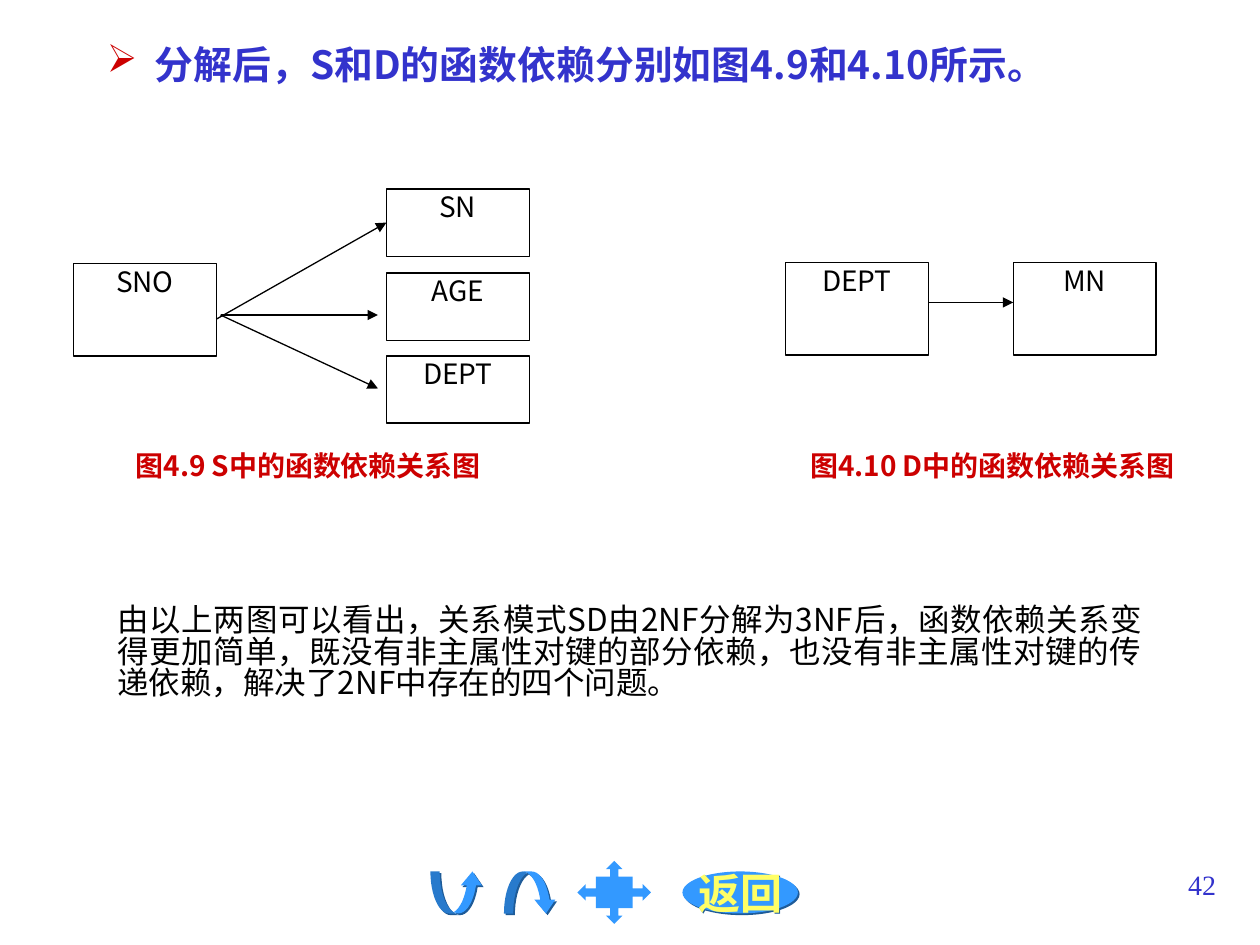
from lxml import etree
from pptx import Presentation
from pptx.dml.color import RGBColor
from pptx.enum.shapes import MSO_CONNECTOR, MSO_SHAPE
from pptx.enum.text import MSO_ANCHOR, PP_ALIGN
from pptx.oxml.ns import qn
from pptx.util import Inches, Pt

RECT, OVAL = MSO_SHAPE.RECTANGLE, MSO_SHAPE.OVAL
UP, DOWN = MSO_SHAPE.CURVED_UP_ARROW, MSO_SHAPE.CURVED_DOWN_ARROW
QUAD = MSO_SHAPE.QUAD_ARROW_CALLOUT
STRAIGHT = MSO_CONNECTOR.STRAIGHT
LEFT_SIDE = 1
CENTER, RIGHT, JUSTIFY = PP_ALIGN.CENTER, PP_ALIGN.RIGHT, PP_ALIGN.JUSTIFY
MIDDLE = MSO_ANCHOR.MIDDLE

HEX = {"ink": "000000", "paper": "FFFFFF", "red": "CC0000", "blue": "3333CC",
       "sky": "3399FF", "shade": "1E5B98", "lemon": "FFFF66"}
SANS, SERIF = "Noto Sans CJK SC", "Times New Roman"
TIGHT = 0.83  # line spacing of the running text


def grid(*cells):
    """Turn columns and rows of a 120 x 90 grid into lengths."""
    return [Inches(c / 12) for c in cells]


def color(name):
    return RGBColor.from_string(HEX[name])


def child(node, tag, **attrs):
    return etree.SubElement(node, qn(tag), **attrs)


def write(shape, text, size, hue, align, bold=False, font=SANS, space=TIGHT):
    par = shape.text_frame.paragraphs[0]
    par.alignment = align
    par.line_spacing = space
    run = par.add_run()
    run.text = text
    run.font.size, run.font.bold, run.font.name = Pt(size), bold, font
    run.font.color.rgb = color(hue)
    child(run.font._element, "a:ea", typeface=SANS)
    return par


def add_text(slide, cells, *args, **style):
    box = slide.shapes.add_textbox(*grid(*cells))
    box.text_frame.word_wrap = True
    return write(box, *args, **style)


def add_form(slide, kind, cells, fill, line=None):
    form = slide.shapes.add_shape(kind, *grid(*cells))
    form.shadow.inherit = False
    form.fill.solid()
    form.fill.fore_color.rgb = color(fill)
    if line:
        form.line.color.rgb = color(line)
        form.line.width = Pt(0.75)
    else:
        form.line.fill.background()
    return form


def add_node(slide, text, *cells):
    node = add_form(slide, RECT, cells, "paper", "ink")
    node.text_frame.vertical_anchor = MSO_ANCHOR.TOP
    write(node, text, 16, "ink", CENTER)
    return node


def add_label(slide, text, *cells):
    label = add_form(slide, RECT, cells, "paper")
    label.text_frame.vertical_anchor = MSO_ANCHOR.TOP
    write(label, text, 16, "red", CENTER, bold=True)


def add_arrow(slide, *ends):
    arrow = slide.shapes.add_connector(STRAIGHT, *grid(*ends))
    arrow.line.color.rgb = color("ink")
    arrow.line.width = Pt(0.75)
    child(arrow.line._get_or_add_ln(), "a:tailEnd", type="triangle")
    child(arrow._element.spPr, "a:effectLst")
    return arrow


def add_icon(slide, kind, cells, tune=(), shade=True):
    icon = add_form(slide, kind, cells, "sky")
    for i, share in enumerate(tune):
        icon.adjustments[i] = share
    if shade:
        glow = icon._element.spPr.find(qn("a:effectLst"))
        drop = child(glow, "a:outerShdw", dist=str(Pt(1.4)), dir="2700000",
                     algn="ctr", rotWithShape="0")
        child(drop, "a:srgbClr", val=HEX["shade"])
    return icon


def add_title(slide):
    par = add_text(slide, (9, 4, 102, 7),
                   "分解后，S和D的函数依赖分别如图4.9和4.10所示。",
                   22.2, "blue", JUSTIFY, bold=True)
    props = par._p.get_or_add_pPr()
    props.set("marL", str(Inches(0.38)))
    props.set("indent", str(Inches(-0.38)))
    child(child(props, "a:buClr"), "a:srgbClr", val=HEX["red"])
    child(props, "a:buChar", char="➢")


def add_graphs(slide):
    # Dependencies in S
    add_node(slide, "SNO", 7, 25.1, 13.6, 8.8)
    leaves = [add_node(slide, name, 36.8, row, 13.6, 6.4)
              for name, row in (("SN", 18), ("AGE", 26), ("DEPT", 33.9))]
    add_arrow(slide, 20.6, 30.4, 36.8, 21.2).end_connect(leaves[0], LEFT_SIDE)
    for row in (30, 37):
        add_arrow(slide, 21, 30, 36, row)
    # Dependencies in D
    for name, col in (("DEPT", 74.8), ("MN", 96.5)):
        add_node(slide, name, col, 25, 13.6, 8.8)
    add_arrow(slide, 88.4, 28.8, 96.5, 28.8)
    # Captions
    add_label(slide, "图4.9 S中的函数依赖关系图", 8.4, 42.7, 41.9, 6.6)
    add_label(slide, "图4.10 D中的函数依赖关系图", 75, 42.7, 39, 6.6)


def add_icons(slide):
    bend = (0.22, 0.5, 0.33)
    for kind, col in ((UP, 41), (DOWN, 48)):
        add_icon(slide, kind, (col, 83, 5, 4), bend)
    back = add_icon(slide, OVAL, (65, 83, 11, 4))
    back.text_frame.word_wrap = False
    back.text_frame.vertical_anchor = MIDDLE
    write(back, "返回", 24, "lemon", CENTER, bold=True, font=SERIF, space=1)
    add_icon(slide, QUAD, (55, 82, 7, 6), (0.13, 0.13, 0.13, 0.5), shade=False)


def main():
    deck = Presentation()
    deck.slide_width, deck.slide_height = grid(120, 90)
    slide = deck.slides.add_slide(deck.slide_layouts[6])
    add_icons(slide)
    add_title(slide)
    add_graphs(slide)
    # Conclusion and page number
    add_text(slide, (10, 57.2, 100, 17.5),
             "由以上两图可以看出，关系模式SD由2NF分解为3NF后，函数依赖关系"
             "变得更加简单，既没有非主属性对键的部分依赖，也没有非主属性对键的"
             "传递依赖，解决了2NF中存在的四个问题。", 18, "ink", JUSTIFY)
    add_text(slide, (92, 82, 25, 6), "42", 16, "blue", RIGHT,
             font=SERIF, space=1)
    deck.save("out.pptx")


if __name__ == "__main__":
    main()
